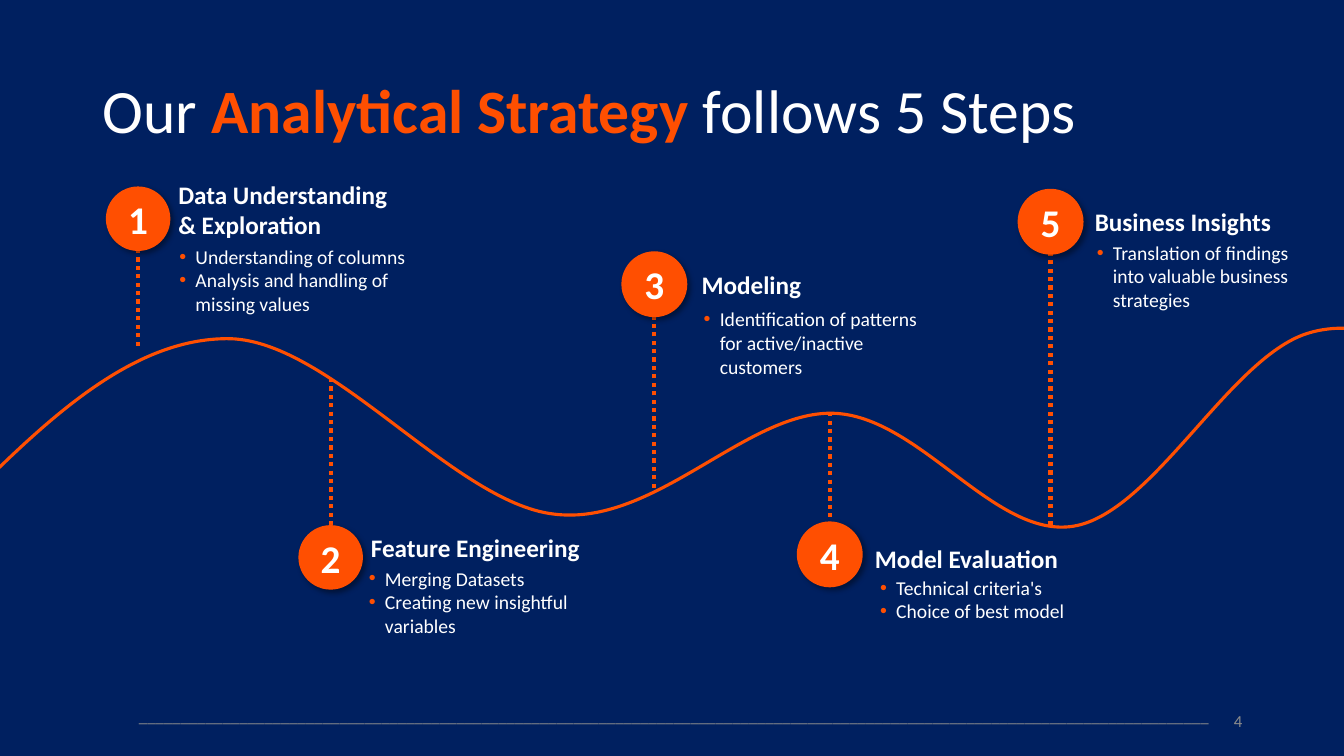
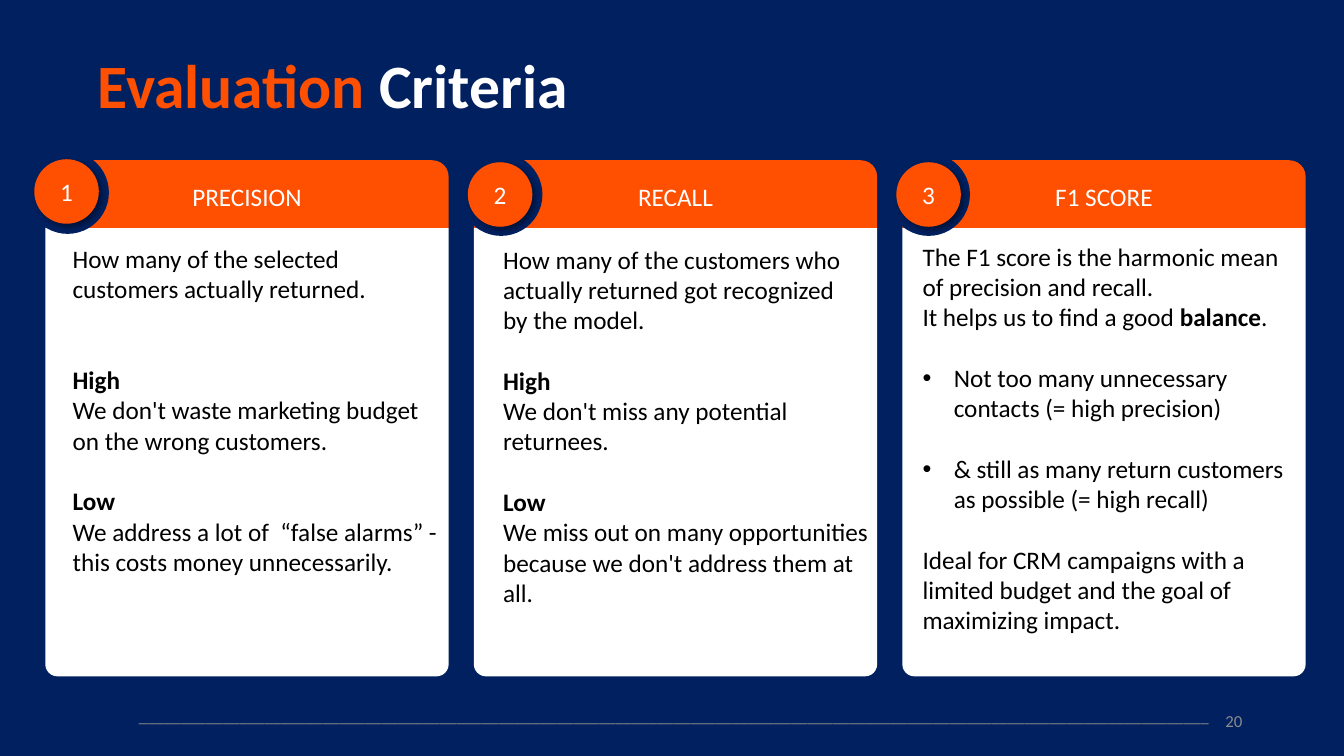
from lxml import etree
from pptx import Presentation
from pptx.dml.color import RGBColor
from pptx.enum.dml import MSO_LINE
from pptx.enum.shapes import MSO_CONNECTOR, MSO_SHAPE
from pptx.enum.text import MSO_ANCHOR, PP_ALIGN
from pptx.oxml.ns import qn
from pptx.util import Inches, Pt

LEFT, CENTER, RIGHT = PP_ALIGN.LEFT, PP_ALIGN.CENTER, PP_ALIGN.RIGHT
TOP, MIDDLE = MSO_ANCHOR.TOP, MSO_ANCHOR.MIDDLE
OVAL, CARD = MSO_SHAPE.OVAL, MSO_SHAPE.ROUND_2_SAME_RECTANGLE
STRAIGHT, DOTS = MSO_CONNECTOR.STRAIGHT, MSO_LINE.ROUND_DOT


class Theme:
    font = "Calibri"
    navy = RGBColor(0x00, 0x20, 0x60)
    orange = RGBColor(0xFF, 0x4F, 0x01)
    white = RGBColor(0xFF, 0xFF, 0xFF)
    black = RGBColor(0x00, 0x00, 0x00)
    gray = RGBColor(0x8C, 0x8C, 0x8C)
    title, digit, body, note, foot = Pt(44), Pt(28), Pt(18), Pt(14), Pt(12)
    badge = 0.64


def write(shape, items, size, color, bold=False, hot=None, align=LEFT,
          anchor=TOP, dent=0.19, hang=0.16, dot=None, space=None):
    """Fill a shape with (gap, text) items; *stars* mark strong words,
    a leading • makes a bullet."""
    frame = shape.text_frame
    frame.word_wrap = True
    frame.vertical_anchor = anchor
    for i, (gap, text) in enumerate(items):
        para = frame.add_paragraph() if i else frame.paragraphs[0]
        if text.startswith("•"):
            text = text[1:]
            props = para._p.get_or_add_pPr()
            props.set("marL", str(Inches(dent)))
            props.set("indent", str(-Inches(hang)))
            if dot is not None:
                tint = etree.SubElement(props, qn("a:buClr"))
                etree.SubElement(tint, qn("a:srgbClr"), val=str(dot))
            etree.SubElement(props, qn("a:buFont"), typeface="Arial")
            etree.SubElement(props, qn("a:buChar"), char="•")
        para.alignment = align
        if gap:
            para.space_before = Pt(gap)
        if space:
            para.line_spacing = space
        for j, part in enumerate(text.split("*")):
            strong = j % 2 == 1
            for k, line in enumerate(part.split("\n")):
                if k:
                    para.add_line_break()
                if line:
                    run = para.add_run()
                    run.text = line
                    run.font.name = Theme.font
                    run.font.size = size
                    run.font.bold = bold or strong
                    run.font.color.rgb = hot if strong and hot else color


def draw(slide, kind, box, fill, shade=False):
    """Add a filled preset shape, with a soft shadow if asked."""
    shape = slide.shapes.add_shape(kind, *map(Inches, box))
    shape.fill.solid()
    shape.fill.fore_color.rgb = fill
    shape.line.fill.background()
    shape.shadow.inherit = False
    if shade:
        glow = etree.SubElement(
            shape._element.spPr.find(qn("a:effectLst")), qn("a:outerShdw"),
            blurRad=str(Pt(4)), dist=str(Pt(3)), dir="2700000",
            algn="tl", rotWithShape="0")
        tint = etree.SubElement(glow, qn("a:srgbClr"), val="000000")
        etree.SubElement(tint, qn("a:alpha"), val="40000")
    return shape


deck = Presentation()
deck.slide_width, deck.slide_height = Inches(13.33), Inches(7.5)

# Shared frame: background, footer rule, title and page number
pages = []
for left, top, title, bold, number in (
    (0.92, 0.4, "Our *Analytical Strategy* follows 5 Steps", False, "4"),
    (0.87, 0.15, "*Evaluation* Criteria", True, "20"),
):
    page = deck.slides.add_slide(deck.slide_layouts[6])
    page.background.fill.solid()
    page.background.fill.fore_color.rgb = Theme.navy
    rule = page.shapes.add_textbox(
        Inches(1.28), Inches(6.95), Inches(10.92), Inches(0.4))
    write(rule, [(0, "_" * 128)], Theme.foot, Theme.gray)
    head = page.shapes.add_textbox(
        Inches(left), Inches(top), Inches(11.5), Inches(1.45))
    write(head, [(0, title)], Theme.title, Theme.white, bold=bold,
          hot=Theme.orange, anchor=MIDDLE, space=0.9)
    foot = page.shapes.add_textbox(
        Inches(9.42), Inches(6.95), Inches(3), Inches(0.4))
    write(foot, [(0, number)], Theme.foot, Theme.gray, align=RIGHT,
          anchor=MIDDLE)
    pages.append(page)
steps_page, cards_page = pages

# Wave: every three points after the start make one Bezier arc
knots = (
    (0.34, 4.28), (1.23, 3.37), (2.24, 3.36),
    (3.25, 3.34), (4.49, 4.98), (5.49, 5.1),
    (6.49, 5.23), (7.4, 4.08), (8.26, 4.1),
    (9.12, 4.12), (9.86, 5.35), (10.65, 5.22),
    (11.43, 5.09), (12.19, 3.56), (12.96, 3.31),
    (13.73, 3.06), (14.57, 3.76), (15.26, 3.74),
    (15.95, 3.72), (17.1, 3.2), (17.1, 3.2),
    (17.47, 3.09), (17.45, 3.18), (17.48, 3.09),
)
maker = steps_page.shapes.build_freeform(Inches(-0.55), Inches(5.18))
maker.add_line_segments([(Inches(x), Inches(y)) for x, y in knots],
                        close=False)
wave = maker.convert_to_shape()
trail = wave._element.find(".//" + qn("a:path"))
legs = trail.findall(qn("a:lnTo"))
for n in range(0, len(legs), 3):
    arc = etree.SubElement(trail, qn("a:cubicBezTo"))
    for leg in legs[n:n + 3]:
        arc.append(leg[0])
        trail.remove(leg)
wave.fill.background()
wave.line.color.rgb = Theme.orange
wave.line.width = Pt(2.25)
wave.shadow.inherit = False

# Steps: badge (left, top), stem end, heading box, notes box
steps = (
    (1.05, 1.85, 3.43, (1.67, 1.73, 2.29, 0.71),
     "Data Understanding\n& Exploration", (1.65, 2.38, 2.65, 0.81),
     ("Understanding of columns", "Analysis and handling of missing values")),
    (2.96, 5.21, 3.75, (3.58, 5.23, 2.36, 0.4),
     "Feature Engineering", (3.53, 5.57, 2.26, 0.81),
     ("Merging Datasets", "Creating new insightful variables")),
    (6.17, 2.5, 4.84, (6.86, 2.62, 2.26, 0.4),
     "Modeling", (6.85, 3, 2.58, 0.81),
     ("Identification of patterns for active/inactive customers",)),
    (7.91, 5.18, 4.09, (8.58, 5.34, 2.26, 0.4),
     "Model Evaluation", (8.6, 5.66, 2.26, 0.57),
     ("Technical criteria's", "Choice of best model")),
    (10.1, 1.88, 5.21, (10.76, 2, 2.26, 0.4),
     "Business Insights", (10.75, 2.34, 2.26, 0.81),
     ("Translation of findings into valuable business strategies",)),
)
for n, (x, y, end, spot, name, area, notes) in enumerate(steps, 1):
    mid = Inches(x + Theme.badge / 2)
    edge = y + Theme.badge / 2 if end > y else y
    stem = steps_page.shapes.add_connector(
        STRAIGHT, mid, Inches(end), mid, Inches(edge))
    stem.line.color.rgb = Theme.orange
    stem.line.width = Pt(3)
    stem.line.dash_style = DOTS
    etree.SubElement(stem._element.spPr, qn("a:effectLst"))
    badge = draw(steps_page, OVAL, (x, y, Theme.badge, Theme.badge),
                 Theme.orange, shade=True)
    if n > 2:
        badge.line.color.rgb = Theme.orange
        badge.line.width = Pt(1)
    write(badge, [(0, str(n))], Theme.digit, Theme.white, bold=True,
          align=CENTER, anchor=MIDDLE)
    label = steps_page.shapes.add_textbox(*map(Inches, spot))
    write(label, [(0, name)], Theme.body, Theme.white, bold=True)
    points = steps_page.shapes.add_textbox(*map(Inches, area))
    write(points, [(0, "•" + note) for note in notes], Theme.note,
          Theme.white, dot=Theme.orange)

# Cards: name, ring and badge (left, top), text box, (gap, text) items
line = 21.8
cards = (
    ("PRECISION", (0.26, 1.5), (0.34, 1.58), (0.52, 2.41, 3.82, 4.19), (
        (0, "How many of the selected customers actually returned."),
        (2 * line, "*High*"),
        (0, "We don't waste marketing budget on the wrong customers."),
        (line, "*Low*"),
        (0, "We address a lot of  “false alarms” - this costs money "
            "unnecessarily."))),
    ("RECALL", (4.56, 1.52), (4.64, 1.61), (4.79, 2.42, 3.86, 4.19), (
        (0, "How many of the customers who actually returned got recognized "
            "\nby the model."),
        (line, "*High*"),
        (0, "We don't miss any potential returnees."),
        (line, "*Low*\nWe miss out on many opportunities because we don't "
               "address them at all."))),
    ("F1 SCORE", (8.8, 1.52), (8.89, 1.61), (8.95, 2.39, 3.79, 4.19), (
        (0, "The F1 score is the harmonic mean of precision and recall."),
        (0, "It helps us to find a good *balance*."),
        (line, "•Not too many unnecessary contacts (= high precision)"),
        (line, "•& still as many return customers as possible "
               "(= high recall)"),
        (line, "Ideal for CRM campaigns with a limited budget and the goal "
               "of maximizing impact."))),
)
for n, (name, ring, spot, area, items) in enumerate(cards):
    left = 0.45 + 4.25 * n
    panel = draw(cards_page, CARD, (left, 2.26, 4, 4.45), Theme.white)
    panel.adjustments[0], panel.adjustments[1] = 0, 0.03
    band = draw(cards_page, CARD, (left, 1.59, 4, 0.67), Theme.orange)
    band.adjustments[0] = 0.24
    write(band, [(0, name)], Theme.body, Theme.white, align=CENTER,
          anchor=MIDDLE)
    draw(cards_page, OVAL, (*ring, 0.82, 0.82), Theme.navy)
    badge = draw(cards_page, OVAL, (*spot, Theme.badge, Theme.badge),
                 Theme.orange, shade=True)
    write(badge, [(0, str(n + 1))], Theme.body, Theme.white, align=CENTER,
          anchor=MIDDLE)
    text = cards_page.shapes.add_textbox(*map(Inches, area))
    frame = text.text_frame
    frame.margin_left = Inches(0.2)
    frame.margin_top = frame.margin_right = frame.margin_bottom = 0
    write(text, items, Theme.body, Theme.black, dent=0.31, hang=0.31)

deck.save("out.pptx")
